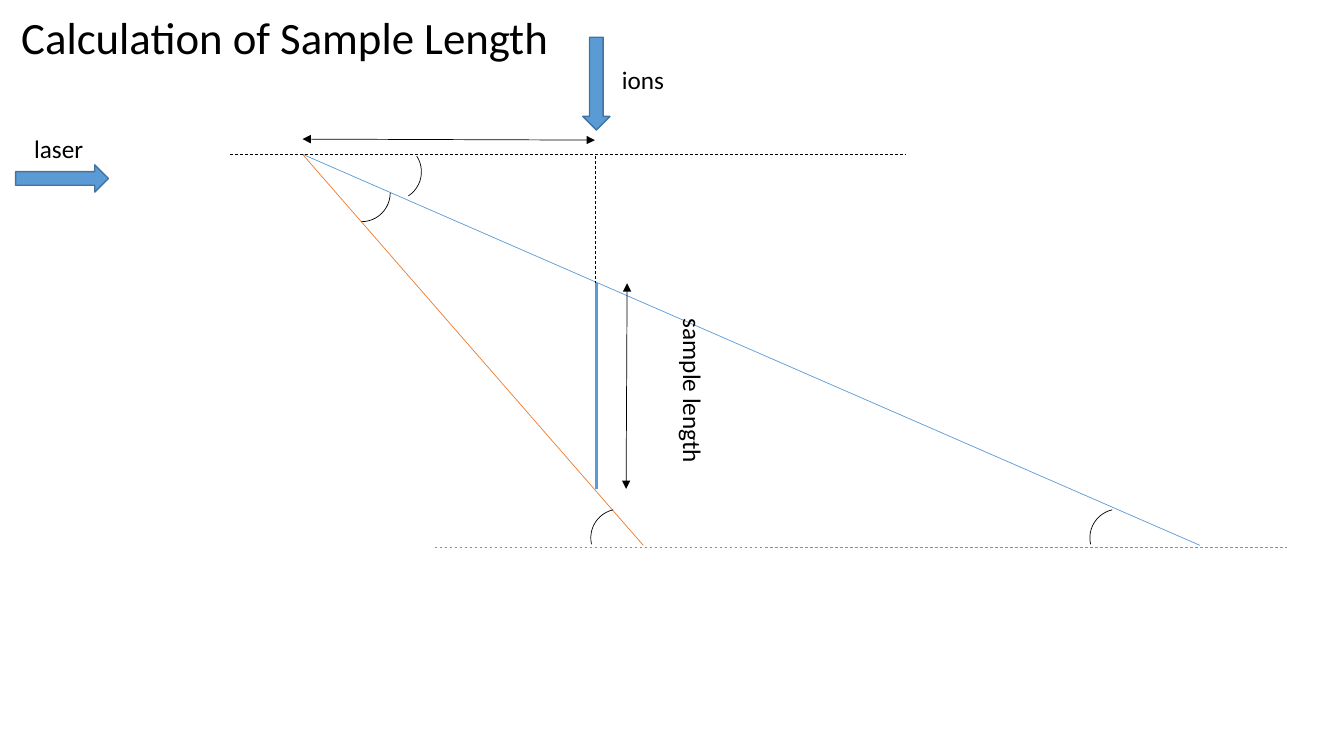
from lxml import etree
from pptx import Presentation
from pptx.dml.color import RGBColor
from pptx.enum.dml import MSO_LINE
from pptx.enum.shapes import MSO_CONNECTOR, MSO_SHAPE
from pptx.enum.text import MSO_ANCHOR, MSO_AUTO_SIZE, PP_ALIGN
from pptx.oxml.ns import qn
from pptx.util import Inches, Pt

BLACK, BLUE, ORANGE, EDGE = "000000", "5B9BD5", "ED7D31", "43739E"
CELL = Inches(0.01)  # the slide is a grid of 1333 columns and 750 rows


def grid(*cells):
    """Turn columns and rows into lengths."""
    return [round(n * CELL) for n in cells]


def paint(part, tint):
    part.rgb = RGBColor.from_string(tint)


deck = Presentation()
deck.slide_width, deck.slide_height = grid(1333, 750)
slide = deck.slides.add_slide(deck.slide_layouts[5])
shapes = slide.shapes

# Rays, guide lines and measures
apex, ion, top, base = 300, 590, 153, 541
upper, lower = 281, 485  # ends of the sample
lines = [
    # x1, y1, x2, y2, colour, width, style
    (apex, top, 1190, base, BLUE, 0.5, ""),
    (apex, top, 638, base, ORANGE, 0.5, ""),
    (ion + 2, upper, ion + 2, lower, BLUE, 2, ""),
    (431, base + 2, 1276, base + 2, BLUE, 0.5, "dash"),
    (622, upper, 621, lower, BLACK, 0.5, "arrow"),
    (228, top, 898, top, BLACK, 0.5, "dash"),
    (ion, top + 2, ion, upper, BLACK, 0.5, "dash"),
    (apex, 138, ion, 139, BLACK, 0.5, "arrow"),
]
for *ends, tint, width, style in lines:
    line = shapes.add_connector(MSO_CONNECTOR.STRAIGHT, *grid(*ends))
    paint(line.line.color, tint)
    line.line.width = Pt(width)
    if style == "dash":
        line.line.dash_style = MSO_LINE.DASH
    if style == "arrow":
        for tag in ("a:headEnd", "a:tailEnd"):
            etree.SubElement(line.line._get_or_add_ln(), qn(tag), type="triangle")
    etree.SubElement(line._element.spPr, qn("a:effectLst"))

# Angle arcs, then the ion and laser arrows
arc = (MSO_SHAPE.ARC, 57, 57, "", BLACK, 0.5)
arrow = (MSO_SHAPE.DOWN_ARROW, 27, 92, BLUE, EDGE, 1)
marks = [
    (330, 163, 90, arc),
    (586, 505, 257.1, arc),
    (1081, 505, 257.1, arc),
    (361, 142, 56.9, arc),
    (578, 37, 0, arrow),
    (48, 131, 270, arrow),
]
for left, row, turn, (kind, wide, high, fill, edge, width) in marks:
    mark = shapes.add_shape(kind, *grid(left, row, wide, high))
    mark.rotation = turn
    mark.shadow.inherit = False
    if fill:
        mark.fill.solid()
        paint(mark.fill.fore_color, fill)
    else:
        mark.fill.background()
    paint(mark.line.color, edge)
    mark.line.width = Pt(width)

# Title and labels
labels = [
    (shapes.title, "Calculation of Sample Length", 11, 5, 549, 64, 0, 32),
    (None, "ions", 607, 59, 62, 40, 0, 18),
    (None, "sample length", 605, 369, 165, 40, 90, 18),
    (None, "laser", 24, 127, 69, 40, 0, 18),
]
frame = {"word_wrap": False, "auto_size": MSO_AUTO_SIZE.SHAPE_TO_FIT_TEXT,
         "vertical_anchor": MSO_ANCHOR.TOP}
for box, words, left, row, wide, high, turn, size in labels:
    place = grid(left, row, wide, high)
    box = box or shapes.add_textbox(*place)
    box.left, box.top, box.width, box.height = place
    box.rotation = turn
    text = box.text_frame
    text.text = words
    for name, value in frame.items():
        setattr(text, name, value)
    para = text.paragraphs[0]
    para.alignment = PP_ALIGN.LEFT
    font = para.runs[0].font
    font.name, font.size = "Calibri", Pt(size)
    paint(font.color, BLACK)

deck.save("out.pptx")
